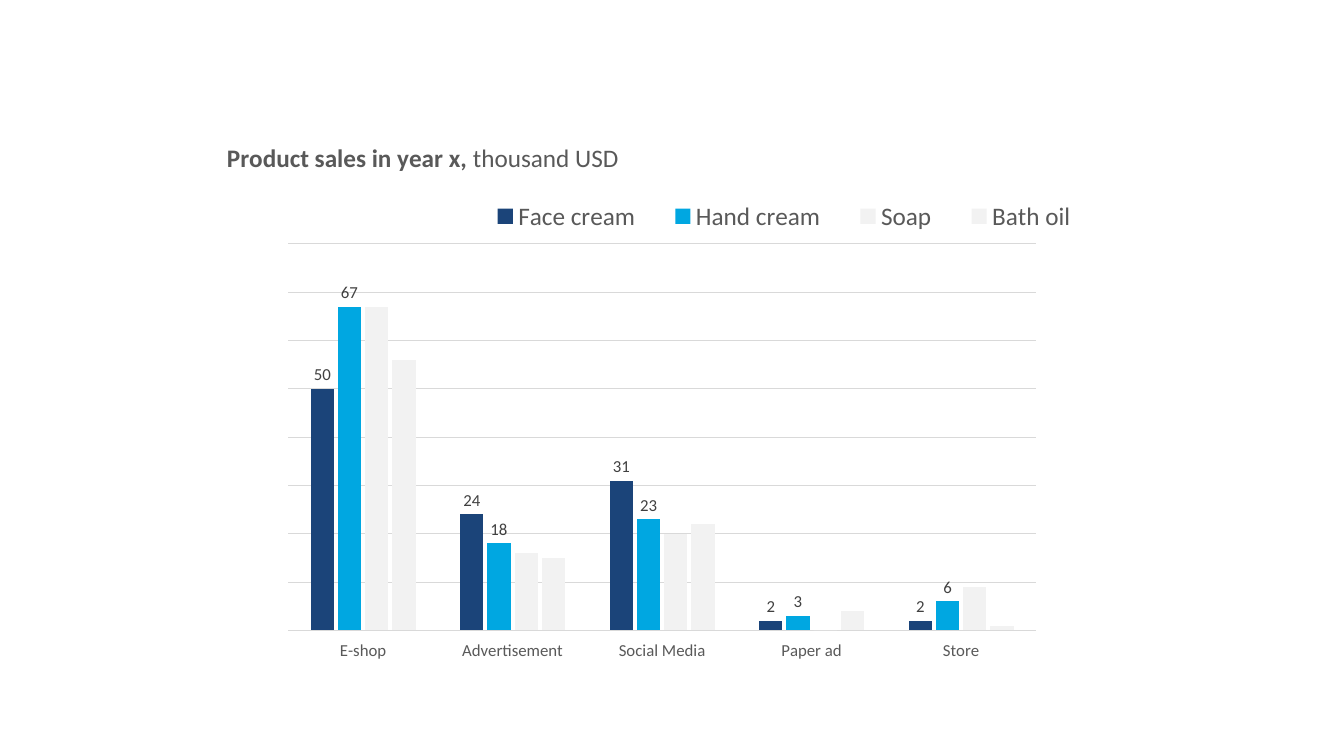
"""Build a slide with a clustered column chart of product sales by channel."""
from dataclasses import dataclass

from lxml import etree
from pptx import Presentation
from pptx.chart.chart import Chart
from pptx.chart.data import CategoryChartData
from pptx.dml.color import RGBColor
from pptx.enum.chart import (
    XL_CHART_TYPE, XL_LABEL_POSITION, XL_LEGEND_POSITION, XL_TICK_LABEL_POSITION, XL_TICK_MARK)
from pptx.util import Emu, Pt

COLUMNS = XL_CHART_TYPE.COLUMN_CLUSTERED
OUTSIDE_END = XL_LABEL_POSITION.OUTSIDE_END
LEGEND_RIGHT = XL_LEGEND_POSITION.RIGHT
LABELS_LOW = XL_TICK_LABEL_POSITION.LOW
NO_TICK = XL_TICK_MARK.NONE
CHART_NS = "http://schemas.openxmlformats.org/drawingml/2006/chart"
BLANK_LAYOUT = 6


@dataclass(frozen=True)
class Theme:
    """Colours, typeface and type sizes of the slide."""
    navy: str = "1B4479"
    sky: str = "00A7E1"
    pale: str = "F2F2F2"
    rule: str = "D9D9D9"
    text: str = "595959"
    label: str = "404040"
    typeface: str = "Calibri"
    heading: int = 18
    small: int = 12
    rule_width: float = 0.75


@dataclass(frozen=True)
class Product:
    """One series of the chart."""
    name: str
    sales: tuple[int, ...]
    color: str
    labelled: bool = False


THEME = Theme()
CHANNELS = ("E-shop", "Advertisement", "Social Media", "Paper ad", "Store")
PRODUCTS = (
    Product("Face cream", (50, 24, 31, 2, 2), THEME.navy, True),
    Product("Hand cream", (67, 18, 23, 3, 6), THEME.sky, True),
    Product("Soap", (67, 16, 20, 0, 9), THEME.pale),
    Product("Bath oil", (56, 15, 22, 4, 1), THEME.pale),
)


def px(length: int) -> Emu:
    """Turn px, at 100 to the inch, into EMU."""
    return Emu(length * 9144)


def style_font(font, *, size: int, color: str, bold: bool = False) -> None:
    """Set the typeface, size, colour and weight of a font."""
    font.name = THEME.typeface
    font.size = Pt(size)
    font.bold = bold
    font.color.rgb = RGBColor.from_string(color)


def style_line(line) -> None:
    """Give a line the thin grey of the chart's rules."""
    line.color.rgb = RGBColor.from_string(THEME.rule)
    line.width = Pt(THEME.rule_width)


def add_span(para, text: str, **style) -> None:
    """Append formatted text to a paragraph."""
    span = para.add_run()
    span.text = text
    style_font(span.font, **style)


def place(element, index: int, **settings: str | float) -> None:
    """Give a chart part a manual layout, as fractions of the chart."""
    for layout in element.findall(f"{{{CHART_NS}}}layout"):
        element.remove(layout)
    layout = etree.Element(f"{{{CHART_NS}}}layout")
    manual = etree.SubElement(layout, f"{{{CHART_NS}}}manualLayout")
    for name, value in settings.items():
        etree.SubElement(manual, f"{{{CHART_NS}}}{name}", val=str(value))
    element.insert(index, layout)


def add_heading(chart: Chart) -> None:
    """Write the chart title at the top left."""
    title = chart.chart_title
    para = title.text_frame.paragraphs[0]
    add_span(para, "Product sales in year x,", size=THEME.heading, color=THEME.text, bold=True)
    add_span(para, " thousand USD", size=THEME.heading, color=THEME.text)
    title.include_in_layout = False
    place(title._element, 1, xMode="edge", yMode="edge", x=0.0, y=0.01)


def add_legend(chart: Chart) -> None:
    """Lay the legend out in a row above the columns."""
    chart.has_legend = True
    legend = chart.legend
    legend.position = LEGEND_RIGHT
    legend.include_in_layout = False
    style_font(legend.font, size=THEME.heading, color=THEME.text)
    place(legend._element, 1, xMode="edge", yMode="edge", x=0.27, y=0.12, w=0.71, h=0.07)


def style_axes(chart: Chart) -> None:
    """Format the channel axis and hide the value axis behind its grid."""
    channels = chart.category_axis
    channels.major_tick_mark = NO_TICK
    channels.tick_label_position = LABELS_LOW
    style_font(channels.tick_labels.font, size=THEME.small, color=THEME.text)
    style_line(channels.format.line)
    values = chart.value_axis
    values.visible = False
    values.minimum_scale, values.maximum_scale, values.major_unit = 0, 80, 10
    style_line(values.major_gridlines.format.line)


def style_columns(chart: Chart) -> None:
    """Colour, space and label the columns."""
    plot = chart.plots[0]
    plot.gap_width, plot.overlap = 192, -17
    plot.vary_by_categories = False
    place(plot._element.getparent(), 0, layoutTarget="inner", xMode="edge", yMode="edge",
          x=0.072, y=0.206, w=0.834, h=0.72)
    for product, series in zip(PRODUCTS, plot.series):
        series.format.fill.solid()
        series.format.fill.fore_color.rgb = RGBColor.from_string(product.color)
        series.invert_if_negative = False
        if product.labelled:
            labels = series.data_labels
            labels.show_value = True
            labels.position = OUTSIDE_END
            style_font(labels.font, size=THEME.small, color=THEME.label)


def add_sales_chart(page) -> None:
    """Add the chart of sales by channel to the page."""
    data = CategoryChartData()
    data.categories = CHANNELS
    for product in PRODUCTS:
        data.add_series(product.name, product.sales)
    frame = page.shapes.add_chart(COLUMNS, px(222), px(132), px(889), px(533), data)
    chart = frame.chart
    style_font(chart.font, size=THEME.small, color=THEME.text)
    add_heading(chart)
    add_legend(chart)
    style_axes(chart)
    style_columns(chart)


def main() -> None:
    """Build and save the deck."""
    deck = Presentation()
    deck.slide_width, deck.slide_height = px(1333), px(750)
    page = deck.slides.add_slide(deck.slide_layouts[BLANK_LAYOUT])
    add_sales_chart(page)
    deck.save("out.pptx")


if __name__ == "__main__":
    main()
